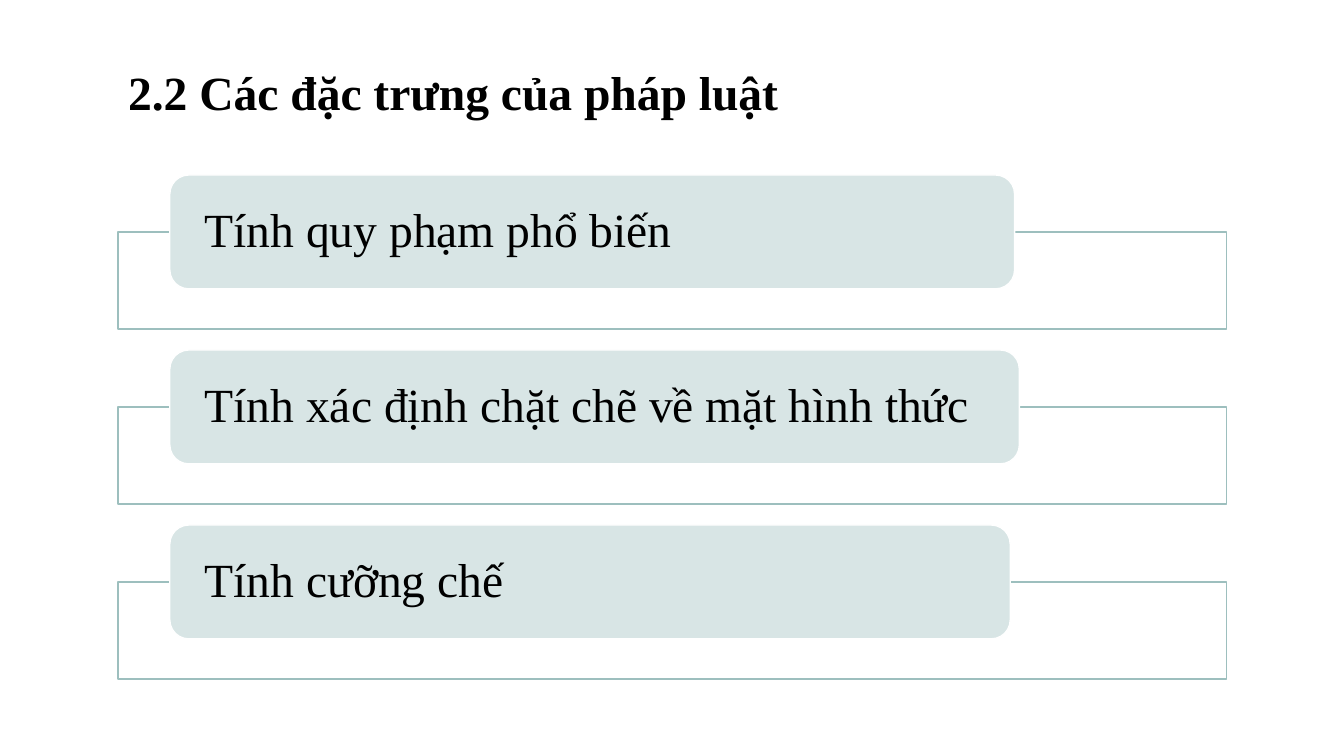
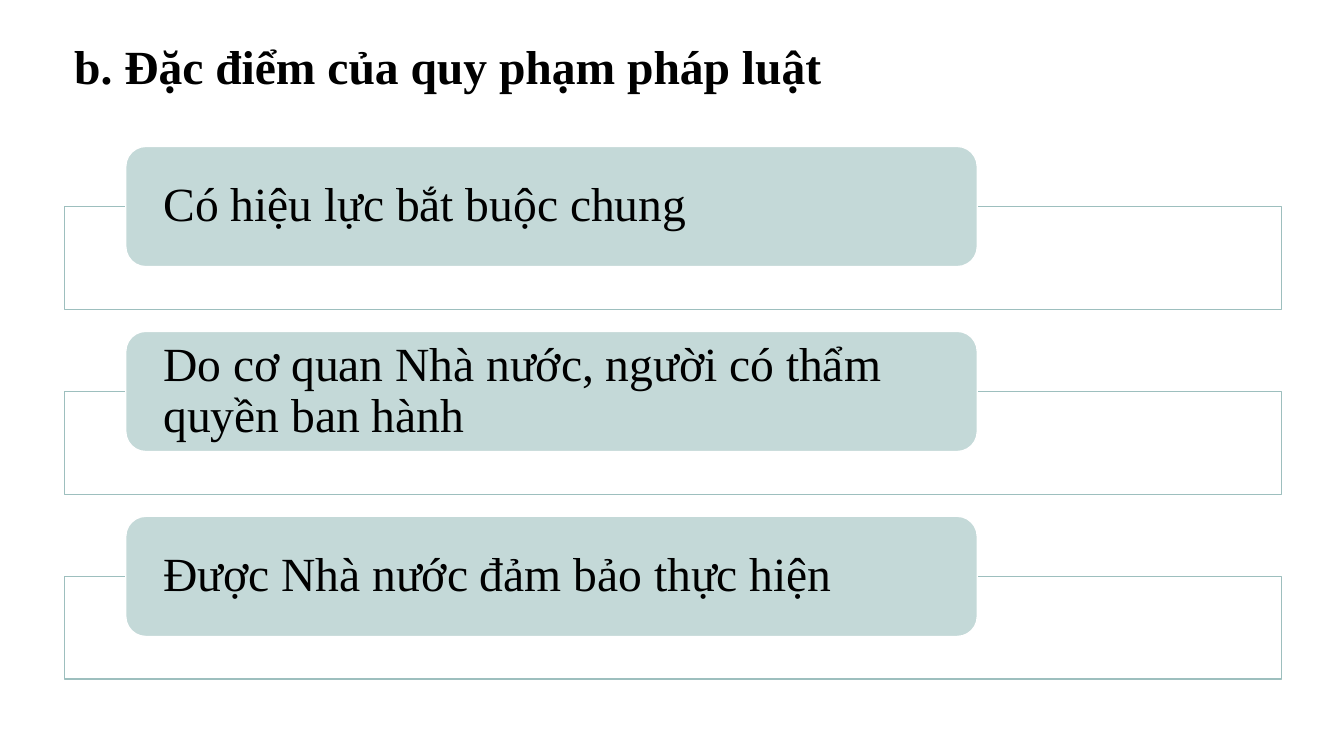
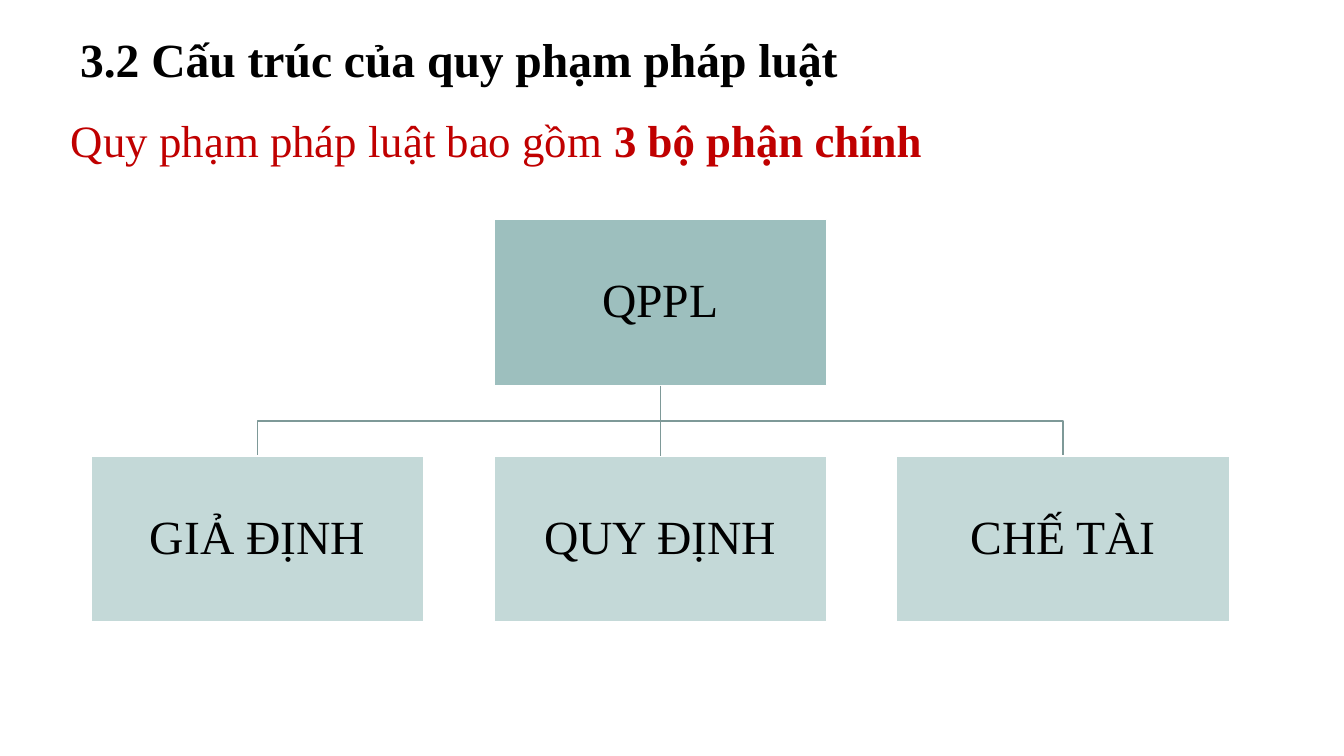
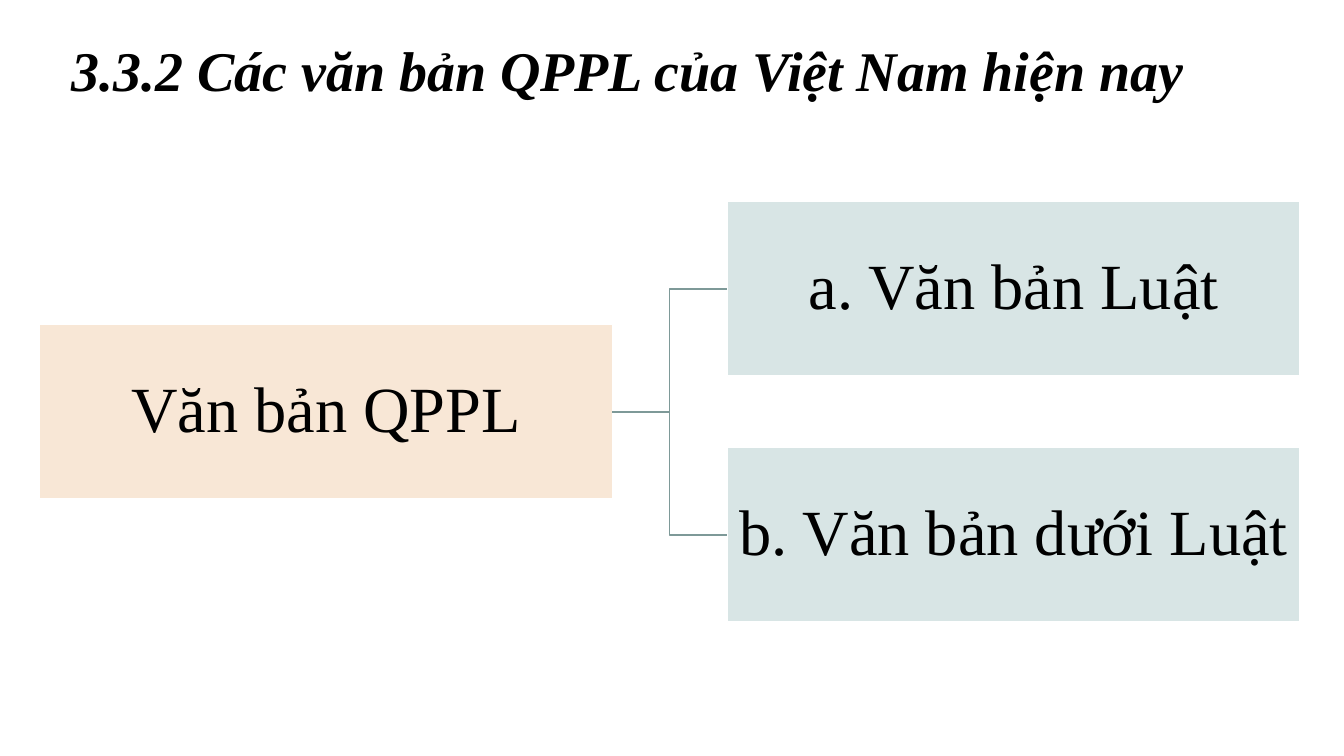
"""Build four slides on the features and structure of legal norms."""
from dataclasses import dataclass

from lxml import etree
from pptx import Presentation
from pptx.dml.color import RGBColor
from pptx.enum.shapes import MSO_CONNECTOR, MSO_SHAPE
from pptx.enum.text import MSO_ANCHOR, PP_ALIGN
from pptx.oxml.ns import qn
from pptx.util import Cm, Pt

RECT, ROUND = MSO_SHAPE.RECTANGLE, MSO_SHAPE.ROUNDED_RECTANGLE
STRAIGHT, ELBOW = MSO_CONNECTOR.STRAIGHT, MSO_CONNECTOR.ELBOW
TOP, MIDDLE = MSO_ANCHOR.TOP, MSO_ANCHOR.MIDDLE
LEFT, CENTER = PP_ALIGN.LEFT, PP_ALIGN.CENTER
SIDE_TOP, SIDE_LEFT, SIDE_BOTTOM, SIDE_RIGHT = range(4)

FONT = "Times New Roman"
COLORS = {
    "white": "FFFFFF",
    "text": "000000",
    "accent": "C00000",
    "teal": "9DBFBE",
    "teal_mid": "C4D9D8",
    "teal_light": "D8E5E5",
    "peach": "F8E7D6",
    "link": "7E9998",
}


@dataclass(frozen=True)
class Box:
    """Position and size in centimetres."""
    left: float
    top: float
    width: float
    height: float

    def emu(self) -> tuple:
        """Return the four lengths for python-pptx."""
        return Cm(self.left), Cm(self.top), Cm(self.width), Cm(self.height)


@dataclass(frozen=True)
class Run:
    """A piece of text with its style."""
    text: str
    size: float = 34
    color: str = "text"
    bold: bool = False
    italic: bool = False


@dataclass(frozen=True)
class CardList:
    """Equally spaced cards, each laid over the top edge of a wide frame."""
    first_card: Box
    pitch: float
    frame_left: float
    frame_width: float
    frame_height: float
    inset: float
    fill: str
    items: tuple


def rgb(name: str) -> RGBColor:
    """Look up a palette colour."""
    return RGBColor.from_string(COLORS[name])


def write(sp, runs, align=LEFT, anchor=MIDDLE, inset=(0.25, 0.13)) -> None:
    """Fill a shape with one paragraph of runs."""
    tf = sp.text_frame
    tf.word_wrap = True
    tf.vertical_anchor = anchor
    tf.margin_left = tf.margin_right = Cm(inset[0])
    tf.margin_top = tf.margin_bottom = Cm(inset[1])
    p = tf.paragraphs[0]
    p.alignment = align
    p.line_spacing = 0.9
    for run in runs:
        r = p.add_run()
        r.text = run.text
        r.font.name = FONT
        r.font.size = Pt(run.size)
        r.font.bold = run.bold
        r.font.italic = run.italic
        r.font.color.rgb = rgb(run.color)


def add_text(s, box: Box, *runs: Run, anchor=MIDDLE) -> None:
    """Add a wrapped text box."""
    write(s.shapes.add_textbox(*box.emu()), runs, anchor=anchor)


def add_title(s, box: Box, text: str, size: float = 34, italic: bool = False) -> None:
    """Add the bold slide title."""
    add_text(s, box, Run(text, size, bold=True, italic=italic))


def set_line(sp, color: str) -> None:
    """Give a shape or connector a one-point line."""
    sp.line.color.rgb = rgb(color)
    sp.line.width = Pt(1)


def add_box(s, kind, box: Box, fill: str, line: str = "white"):
    """Add a filled, outlined preset shape."""
    sp = s.shapes.add_shape(kind, *box.emu())
    sp.shadow.inherit = False
    sp.fill.solid()
    sp.fill.fore_color.rgb = rgb(fill)
    set_line(sp, line)
    return sp


def add_node(s, box: Box, text: str, fill: str, size: float = 34):
    """Add a diagram rectangle with centred text."""
    sp = add_box(s, RECT, box, fill)
    write(sp, [Run(text, size)], CENTER, inset=(0.06, 0.06))
    return sp


def add_link(s, kind, start, start_side: int, end, end_side: int) -> None:
    """Join two diagram rectangles with a connector."""
    cx = s.shapes.add_connector(kind, 0, 0, 0, 0)
    cx.begin_connect(start, start_side)
    cx.end_connect(end, end_side)
    set_line(cx, "link")
    etree.SubElement(cx._element.spPr, qn("a:effectLst"))


def add_branch(s, points: list) -> None:
    """Draw an open bent line through points in centimetres."""
    first, *rest = [(Cm(x), Cm(y)) for x, y in points]
    builder = s.shapes.build_freeform(*first)
    builder.add_line_segments(rest, close=False)
    sp = builder.convert_to_shape()
    sp.shadow.inherit = False
    sp.fill.background()
    set_line(sp, "link")


def add_cards(s, cards: CardList) -> None:
    """Draw a list of cards over their frames."""
    first = cards.first_card
    for i, (text, width) in enumerate(cards.items):
        top = first.top + i * cards.pitch
        frame = Box(cards.frame_left, top + first.height / 2,
                    cards.frame_width, cards.frame_height)
        add_box(s, RECT, frame, "white", "teal")
        sp = add_box(s, ROUND, Box(first.left, top, width, first.height), cards.fill)
        write(sp, [Run(text)], inset=(cards.inset, 0))


def features_of_law(s) -> None:
    """Slide 1: features of law."""
    add_title(s, Box(2.98, 1.07, 27.94, 2.67), "2.2 Các đặc trưng của pháp luật")
    add_cards(s, CardList(
        Box(4.28, 4.41, 21.29, 2.87), 4.41, 2.97, 27.94, 2.45, 0.74, "teal_light",
        (("Tính quy phạm phổ biến", 21.29),
         ("Tính xác định chặt chẽ về mặt hình thức", 21.41),
         ("Tính cưỡng chế", 21.18))))


def features_of_norms(s) -> None:
    """Slide 2: features of legal norms."""
    add_title(s, Box(1.62, 0.72, 31.22, 2.03), "b. Đặc điểm của quy phạm pháp luật")
    texts = ("Có hiệu lực bắt buộc chung",
             "Do cơ quan Nhà nước, người có thẩm quyền ban hành",
             "Được Nhà nước đảm bảo thực hiện")
    card = Box(3.17, 3.69, 21.46, 3.03)
    add_cards(s, CardList(card, 4.66, 1.63, 30.66, 2.59, 0.8, "teal_mid",
                          tuple((text, card.width) for text in texts)))


def structure_of_norms(s) -> None:
    """Slide 3: the three parts of a legal norm."""
    add_title(s, Box(1.77, 0.69, 30.38, 1.75), "3.2 Cấu trúc của quy phạm pháp luật")
    add_text(s, Box(1.54, 2.87, 30.63, 1.6),
             Run("Quy phạm pháp luật bao gồm ", 32, "accent"),
             Run("3 bộ phận chính", 32, "accent", bold=True), anchor=TOP)
    width, height, pitch = 8.38, 4.19, 10.15
    left, root_top, part_top = 2.3, 5.53, 11.49
    root_bottom = root_top + height
    bus = (root_bottom + part_top) / 2
    middle = left + pitch + width / 2
    for center in (middle + pitch, middle - pitch):
        add_branch(s, [(middle, root_bottom), (middle, bus), (center, bus), (center, part_top)])
    root = add_node(s, Box(left + pitch, root_top, width, height), "QPPL", "teal")
    parts = [add_node(s, Box(left + i * pitch, part_top, width, height), text, "teal_mid")
             for i, text in enumerate(("GIẢ ĐỊNH", "QUY ĐỊNH", "CHẾ TÀI"))]
    add_link(s, STRAIGHT, root, SIDE_BOTTOM, parts[1], SIDE_TOP)


def legal_documents(s) -> None:
    """Slide 4: the two kinds of legal documents."""
    add_title(s, Box(1.55, 0.72, 30.99, 2.26),
              "3.3.2 Các văn bản QPPL của Việt Nam hiện nay", 40, True)
    width, height, top, pitch = 14.43, 4.4, 5.08, 6.2
    root = add_node(s, Box(1, top + pitch / 2, width, height), "Văn bản QPPL", "peach", 46)
    for i, text in enumerate(("a. Văn bản Luật", "b. Văn bản dưới Luật")):
        box = Box(18.33, top + i * pitch, width, height)
        kind = add_node(s, box, text, "teal_light", 46)
        add_link(s, ELBOW, root, SIDE_RIGHT, kind, SIDE_LEFT)


def main() -> None:
    """Build and save the presentation."""
    prs = Presentation()
    prs.slide_width, prs.slide_height = Cm(33.87), Cm(19.05)
    for build in (features_of_law, features_of_norms, structure_of_norms, legal_documents):
        build(prs.slides.add_slide(prs.slide_layouts[6]))
    prs.save("out.pptx")


if __name__ == "__main__":
    main()
